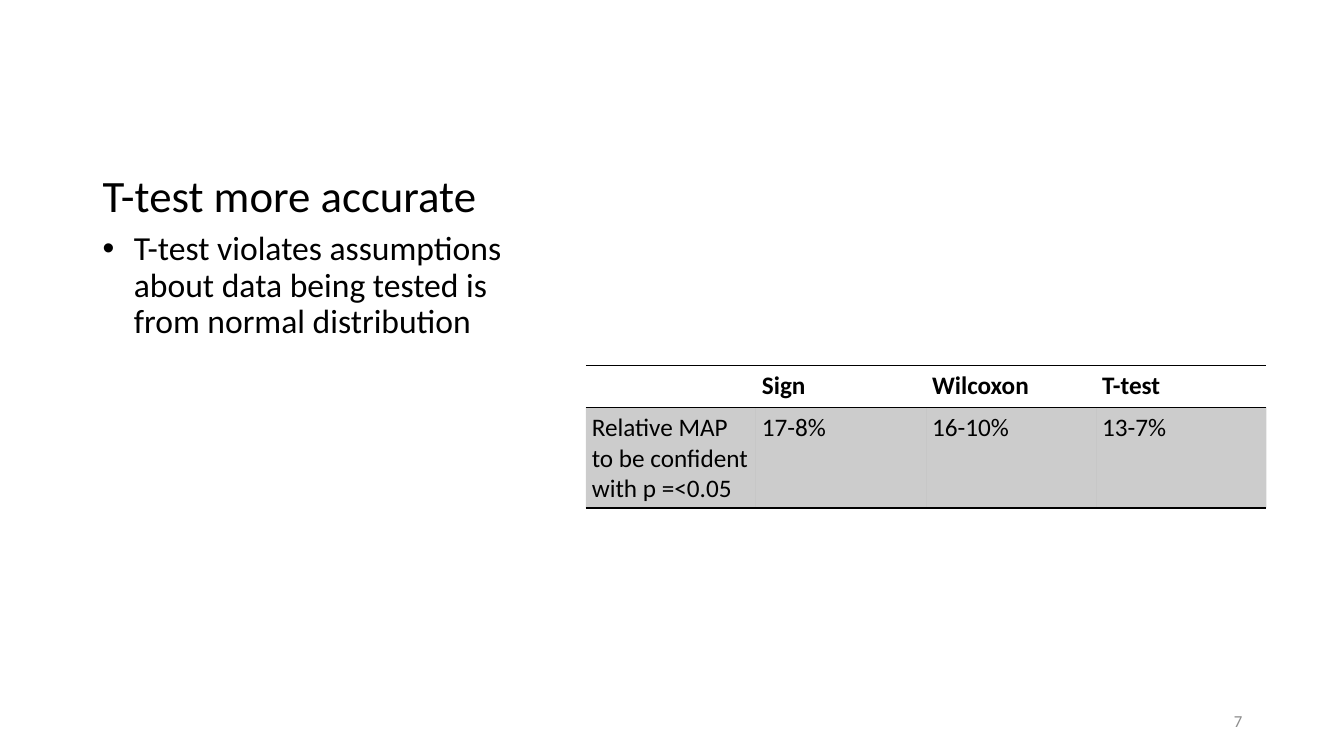
import pptx
import pptx.dml.color
import pptx.enum.text
import pptx.oxml
import pptx.oxml.ns
import pptx.util
from lxml import etree

Inches = pptx.util.Inches
Pt = pptx.util.Pt
ANCHOR = pptx.enum.text.MSO_ANCHOR
ALIGN = pptx.enum.text.PP_ALIGN
qn = pptx.oxml.ns.qn

FONT = "Calibri"
COLORS = {"text": "000000", "rule": "000000", "band": "000000", "number": "8C8C8C"}
NO_STYLE = "{2D5ABB26-0587-4C30-8999-92F81FD0307C}"
ROWS = [
    ["", "Sign", "Wilcoxon", "T-test"],
    ["Relative MAP to be confident with p =<0.05", "17-8%", "16-10%", "13-7%"],
]


def rgb(name):
    return pptx.dml.color.RGBColor.from_string(COLORS[name])


def add_run(p, text, size, color="text", bold=False):
    r = p.add_run()
    r.text = text
    r.font.name = FONT
    r.font.size = Pt(size)
    r.font.bold = bold
    r.font.color.rgb = rgb(color)


def add_text(s, box, text, size, anchor=ANCHOR.TOP, color="text"):
    tf = s.shapes.add_textbox(*map(Inches, box)).text_frame
    tf.word_wrap = True
    tf.vertical_anchor = anchor
    p = tf.paragraphs[0]
    add_run(p, text, size, color)
    return p


def add_bullet(p, indent):
    pPr = p._p.get_or_add_pPr()
    pPr.set("marL", str(Inches(indent)))
    pPr.set("indent", str(-Inches(indent)))
    etree.SubElement(pPr, qn("a:buFont"), typeface="Arial")
    etree.SubElement(pPr, qn("a:buChar"), char="•")


def add_rule(cell, side, index):
    """Draw a 1 pt rule; borders must precede the fill in the cell XML."""
    ln = etree.Element(qn(f"a:{side}"), w=str(Pt(1)))
    fill = etree.SubElement(ln, qn("a:solidFill"))
    etree.SubElement(fill, qn("a:srgbClr"), val=COLORS["rule"])
    cell._tc.get_or_add_tcPr().insert(index, ln)


def fill_band(cell):
    cell.fill.solid()
    cell.fill.fore_color.rgb = rgb("band")
    clr = cell._tc.tcPr.find(".//" + qn("a:srgbClr"))
    etree.SubElement(clr, qn("a:alpha"), val="20000")


def add_results_table(s, box, heights):
    table = s.shapes.add_table(len(ROWS), len(ROWS[0]), *map(Inches, box)).table
    table.horz_banding = False
    table._tbl.tblPr.find(qn("a:tableStyleId")).text = NO_STYLE
    for i, (row, height) in enumerate(zip(ROWS, heights)):
        table.rows[i].height = Inches(height)
        for j, text in enumerate(row):
            cell = table.cell(i, j)
            cell.margin_left = cell.margin_right = Inches(0.06)
            cell.margin_top = cell.margin_bottom = Inches(0.05)
            if text:
                add_run(cell.text_frame.paragraphs[0], text, 18, bold=i == 0)
            if i == 0:
                cell.fill.background()
            else:
                fill_band(cell)
            add_rule(cell, "lnT", 0)
            add_rule(cell, "lnB", 1)


def main():
    prs = pptx.Presentation()
    prs.slide_width, prs.slide_height = Inches(13.33), Inches(7.5)
    s = prs.slides.add_slide(prs.slide_layouts[6])

    # Title
    p = add_text(s, (0.92, 0.5, 4.3, 1.75), "T-test more accurate", 32, ANCHOR.BOTTOM)
    p.line_spacing = 0.9

    # Results table
    add_results_table(s, (5.81, 3.63, 6.75, 1.41), (0.41, 1))

    # Bullet
    p = add_text(s, (0.92, 2.25, 4.3, 4.17),
                 "T-test violates assumptions about data being tested is "
                 "from normal distribution", 24)
    p.line_spacing = 0.9
    p.space_before = Pt(10)
    add_bullet(p, 0.31)

    # Slide number
    p = add_text(s, (9.42, 6.95, 3, 0.4), "7", 12, ANCHOR.MIDDLE, "number")
    p.alignment = ALIGN.RIGHT

    prs.save("out.pptx")


if __name__ == "__main__":
    main()
